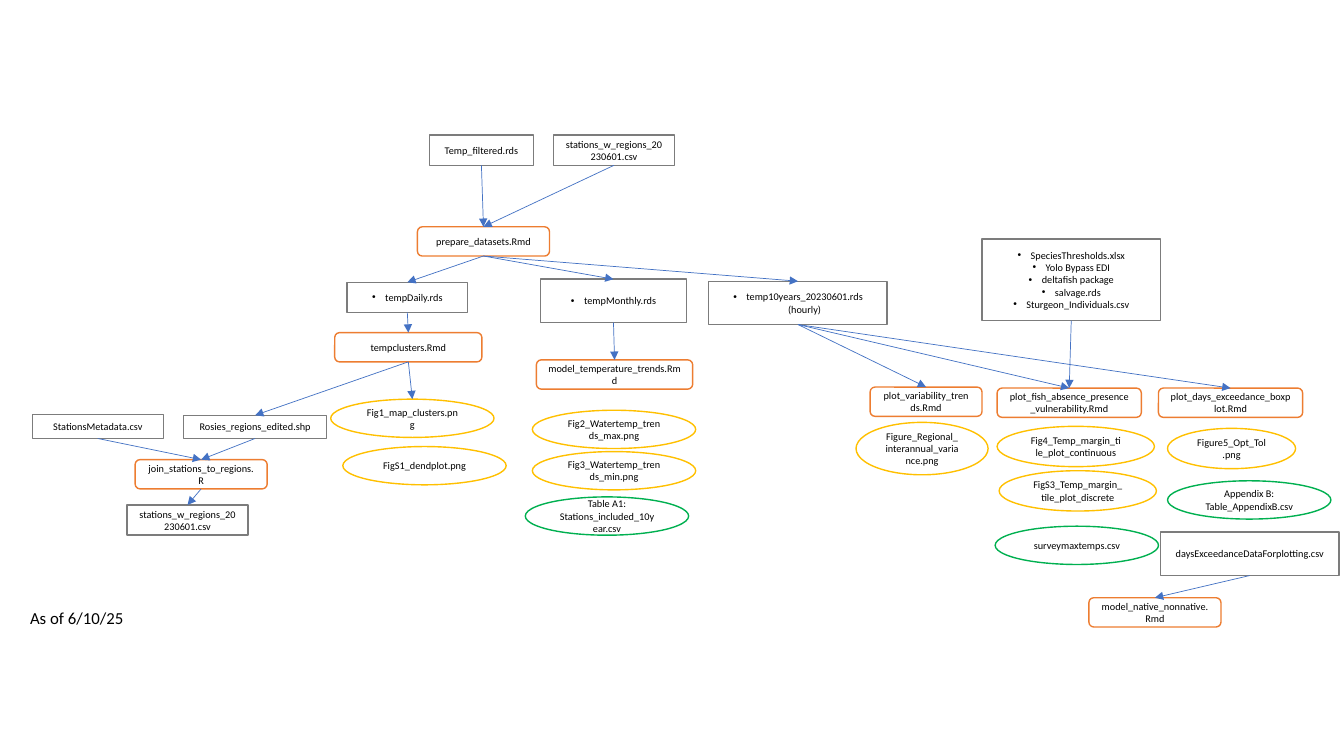
from collections import namedtuple
from lxml.etree import SubElement
from pptx import Presentation
from pptx.dml.color import RGBColor
from pptx.enum.shapes import MSO_CONNECTOR, MSO_SHAPE
from pptx.enum.text import MSO_ANCHOR, MSO_AUTO_SIZE, PP_ALIGN
from pptx.oxml.ns import qn
from pptx.util import Inches, Pt

WHITE = RGBColor(0xFF, 0xFF, 0xFF)
BLACK = RGBColor(0x00, 0x00, 0x00)
GRAY = RGBColor(0x7C, 0x7C, 0x7C)
ORANGE = RGBColor(0xED, 0x7D, 0x31)
GOLD = RGBColor(0xFF, 0xC0, 0x00)
GREEN = RGBColor(0x00, 0xB0, 0x50)
BLUE = RGBColor(0x44, 0x72, 0xC4)

Style = namedtuple("Style", "preset color")
DATA = Style(MSO_SHAPE.RECTANGLE, GRAY)
SCRIPT = Style(MSO_SHAPE.ROUNDED_RECTANGLE, ORANGE)
FIGURE = Style(MSO_SHAPE.OVAL, GOLD)
TABLE = Style(MSO_SHAPE.OVAL, GREEN)

Box = namedtuple("Box", "left top width height")
OVAL_SIZE = (1.62, 0.38)
MARGIN_OVAL_SIZE = (1.56, 0.4)
SCRIPT_SIZE = (1.31, 0.29)
PLOT_SIZE = (1.43, 0.29)
FILE_SIZE = (1.2, 0.3)
WIDE_SIZE = (1.77, 0.43)
BOTTOM, TOP = 2, 0


def format_text(shape, size):
    """Apply the slide font to all text of a shape."""
    for para in shape.text_frame.paragraphs:
        for span in para.runs:
            span.font.name = "Calibri"
            span.font.size = Pt(size)
            span.font.color.rgb = BLACK


def add_bullet(para):
    """Give a paragraph a hanging round bullet."""
    properties = para._p.get_or_add_pPr()
    properties.set("marL", str(Inches(0.13)))
    properties.set("indent", str(-Inches(0.13)))
    SubElement(properties, qn("a:buFont")).set("typeface", "Arial")
    SubElement(properties, qn("a:buChar")).set("char", "•")


def add_node(page, box, style, text, offset, size, bulleted=False):
    """Draw one labelled node at an offset inside a region box."""
    shape = page.shapes.add_shape(
        style.preset, Inches(box.left + offset[0]), Inches(box.top + offset[1]),
        Inches(size[0]), Inches(size[1]))
    shape.shadow.inherit = False
    shape.fill.solid()
    shape.fill.fore_color.rgb = WHITE
    shape.line.color.rgb = style.color
    shape.line.width = Pt(1)
    frame = shape.text_frame
    frame.word_wrap = True
    frame.vertical_anchor = MSO_ANCHOR.MIDDLE
    frame.text = text
    for para in frame.paragraphs:
        para.alignment = PP_ALIGN.CENTER
        if bulleted:
            add_bullet(para)
    format_text(shape, 7.3)
    return shape


def add_arrow(page, source, target):
    """Join the bottom of one node to the top of another."""
    arrow = page.shapes.add_connector(MSO_CONNECTOR.STRAIGHT, 0, 0, 0, 0)
    arrow.begin_connect(source, BOTTOM)
    arrow.end_connect(target, TOP)
    arrow.line.color.rgb = BLUE
    arrow.line.width = Pt(0.5)
    SubElement(arrow.line._get_or_add_ln(), qn("a:tailEnd")).set("type", "triangle")
    SubElement(arrow._element.spPr, qn("a:effectLst"))


def draw_preparation(page, box):
    """Draw the inputs and the script that prepares the datasets."""
    filtered = add_node(page, box, DATA, "Temp_filtered.rds", (0.12, 0), (1.03, 0.3))
    stations = add_node(page, box, DATA, "stations_w_regions_20230601.csv",
                        (1.35, 0), FILE_SIZE)
    prepare = add_node(page, box, SCRIPT, "prepare_datasets.Rmd", (0, 0.91), SCRIPT_SIZE)
    for source in (filtered, stations):
        add_arrow(page, source, prepare)
    return prepare


def draw_clusters(page, box):
    """Draw the daily data, its cluster script and figures."""
    daily = add_node(page, box, DATA, "tempDaily.rds", (0.16, 0), FILE_SIZE, True)
    clusters = add_node(page, box, SCRIPT, "tempclusters.Rmd", (0.04, 0.5), (1.46, 0.29))
    cluster_map = add_node(page, box, FIGURE, "Fig1_map_clusters.png", (0, 1.16), OVAL_SIZE)
    add_node(page, box, FIGURE, "FigS1_dendplot.png", (0.12, 1.63), OVAL_SIZE)
    add_arrow(page, daily, clusters)
    add_arrow(page, clusters, cluster_map)
    return daily, clusters


def draw_stations(page, box):
    """Draw the script that joins stations to regions."""
    metadata = add_node(page, box, DATA, "StationsMetadata.csv", (0, 0), (1.3, 0.24))
    regions = add_node(page, box, DATA, "Rosies_regions_edited.shp", (1.5, 0.01), (1.42, 0.23))
    join = add_node(page, box, SCRIPT, "join_stations_to_regions.R", (1.02, 0.45), SCRIPT_SIZE)
    joined = add_node(page, box, DATA, "stations_w_regions_20230601.csv",
                      (0.94, 0.9), FILE_SIZE)
    for source, target in ((metadata, join), (regions, join), (join, joined)):
        add_arrow(page, source, target)
    return regions


def draw_trends(page, box):
    """Draw the monthly data, its trend script and outputs."""
    monthly = add_node(page, box, DATA, "tempMonthly.rds", (0.15, 0), (1.45, 0.43), True)
    trends = add_node(page, box, SCRIPT, "model_temperature_trends.Rmd",
                      (0.11, 0.8), (1.55, 0.29))
    outputs = (
        (FIGURE, "Fig2_Watertemp_trends_max.png", (0.07, 1.3)),
        (FIGURE, "Fig3_Watertemp_trends_min.png", (0.07, 1.71)),
        (TABLE, "Table A1: Stations_included_10year.csv", (0, 2.16)),
    )
    for style, text, offset in outputs:
        add_node(page, box, style, text, offset, OVAL_SIZE)
    add_arrow(page, monthly, trends)
    return monthly


def draw_plots(page, box):
    """Draw the hourly data, thresholds, plot scripts and outputs."""
    hourly = add_node(page, box, DATA, "temp10years_20230601.rds (hourly)",
                      (0, 0.42), WIDE_SIZE, True)
    sources = "\n".join(("SpeciesThresholds.xlsx", "Yolo Bypass EDI", "deltafish package",
                         "salvage.rds", "Sturgeon_Individuals.csv"))
    thresholds = add_node(page, box, DATA, sources, (2.71, 0), (1.77, 0.81), True)
    variability = add_node(page, box, SCRIPT, "plot_variability_trends.Rmd",
                           (1.6, 1.47), (1.11, 0.29))
    vulnerability = add_node(page, box, SCRIPT, "plot_fish_absence_presence_vulnerability.Rmd",
                             (2.86, 1.48), PLOT_SIZE)
    exceedance = add_node(page, box, SCRIPT, "plot_days_exceedance_boxplot.Rmd",
                          (4.46, 1.48), PLOT_SIZE)
    outputs = (
        (FIGURE, "Figure_Regional_interannual_variance.png", (1.46, 1.82), (1.31, 0.52)),
        (FIGURE, "Fig4_Temp_margin_tile_plot_continuous", (2.86, 1.86), MARGIN_OVAL_SIZE),
        (FIGURE, "FigS3_Temp_margin_tile_plot_discrete", (2.88, 2.3), MARGIN_OVAL_SIZE),
        (TABLE, "surveymaxtemps.csv", (2.84, 2.85), OVAL_SIZE),
        (FIGURE, "Figure5_Opt_Tol.png", (4.55, 1.88), (1.27, 0.4)),
        (TABLE, "Appendix B: Table_AppendixB.csv", (4.55, 2.4), OVAL_SIZE),
    )
    for style, text, offset, size in outputs:
        add_node(page, box, style, text, offset, size)
    for target in (variability, vulnerability, exceedance):
        add_arrow(page, hourly, target)
    add_arrow(page, thresholds, vulnerability)
    return hourly


def draw_native_model(page, box):
    """Draw the exceedance data and the native species model."""
    exceedance = add_node(page, box, DATA, "daysExceedanceDataForplotting.csv",
                          (0.71, 0), WIDE_SIZE)
    model = add_node(page, box, SCRIPT, "model_native_nonnative.Rmd", (0, 0.65), SCRIPT_SIZE)
    add_arrow(page, exceedance, model)


def draw_date(page, box):
    """Write the status date."""
    date = page.shapes.add_textbox(*(Inches(length) for length in box))
    date.text_frame.text = "As of 6/10/25"
    date.text_frame.word_wrap = False
    date.text_frame.auto_size = MSO_AUTO_SIZE.SHAPE_TO_FIT_TEXT
    format_text(date, 12)


def main():
    """Build the workflow slide and save it."""
    deck = Presentation()
    deck.slide_width, deck.slide_height = Inches(13.33), Inches(7.5)
    page = deck.slides.add_slide(deck.slide_layouts[6])
    prepare = draw_preparation(page, Box(4.14, 1.34, 2.55, 1.2))
    daily, clusters = draw_clusters(page, Box(3.28, 2.8, 1.74, 2.01))
    regions = draw_stations(page, Box(0.32, 4.11, 2.92, 1.2))
    monthly = draw_trends(page, Box(5.21, 2.77, 1.69, 2.54))
    hourly = draw_plots(page, Box(7.03, 2.37, 6.17, 3.23))
    draw_native_model(page, Box(10.8, 5.28, 2.48, 0.94))
    draw_date(page, Box(0.2, 5.98, 1.14, 0.3))
    for dataset in (daily, monthly, hourly):
        add_arrow(page, prepare, dataset)
    add_arrow(page, clusters, regions)
    deck.save("out.pptx")


if __name__ == "__main__":
    main()
